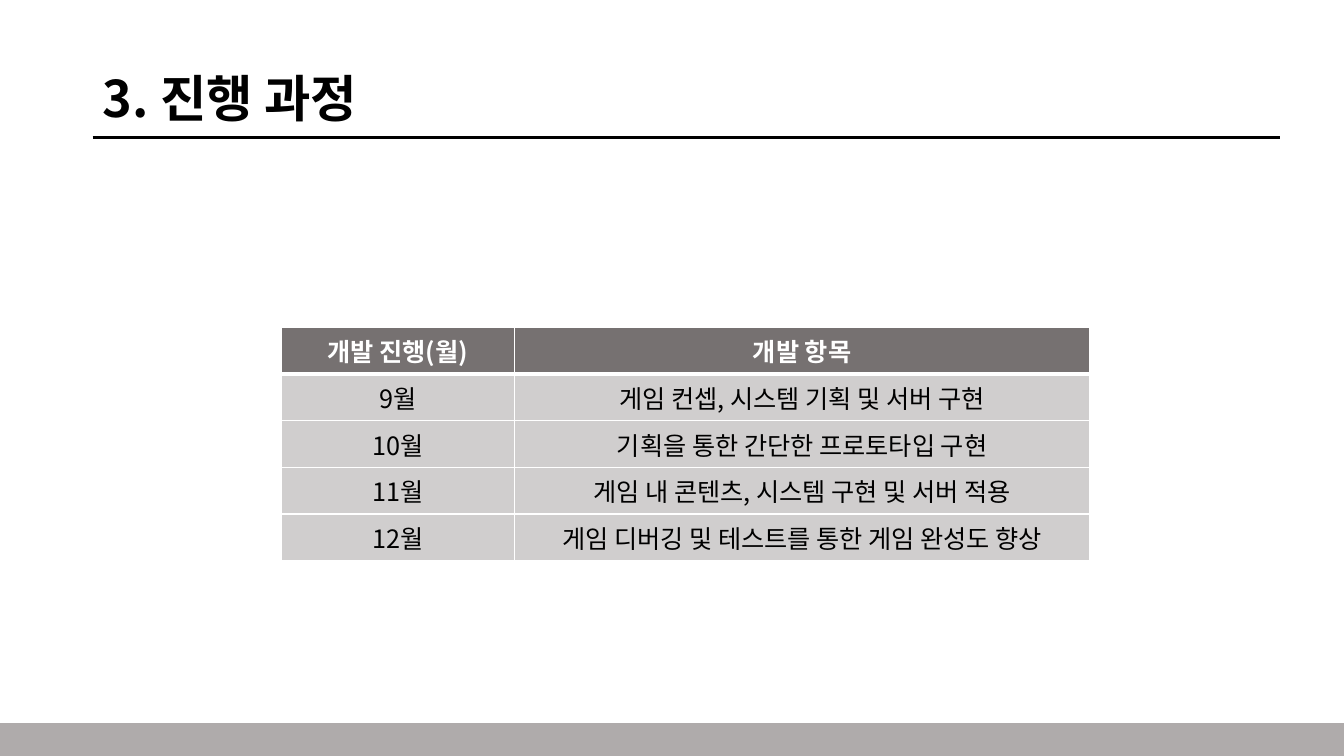
"""Builds the development schedule slide."""
from lxml.etree import SubElement
from pptx import Presentation
from pptx.dml.color import RGBColor
from pptx.enum.shapes import MSO_CONNECTOR as Connector, MSO_SHAPE as Shape
from pptx.enum.text import MSO_ANCHOR as Anchor, MSO_AUTO_SIZE as AutoSize, PP_ALIGN as Align
from pptx.oxml.ns import qn
from pptx.util import Inches, Pt

BLACK = RGBColor(0x00, 0x00, 0x00)
WHITE = RGBColor(0xFF, 0xFF, 0xFF)
HEADER_GRAY = RGBColor(0x76, 0x71, 0x71)
BODY_GRAY = RGBColor(0xD0, 0xCE, 0xCE)
FOOTER_GRAY = RGBColor(0xAF, 0xAB, 0xAB)
FONT = "Noto Sans CJK KR"

WIDTH, HEIGHT = Inches(13.33), Inches(7.5)
MARGIN = Inches(0.92)
RULE_Y = Inches(1.36)
COLUMN_WIDTHS = Inches(2.31), Inches(5.71)
ROW_HEIGHT = Inches(0.41)

SCHEDULE = [
    ("개발 진행(월)", "개발 항목"),
    ("9월", "게임 컨셉, 시스템 기획 및 서버 구현"),
    ("10월", "기획을 통한 간단한 프로토타입 구현"),
    ("11월", "게임 내 콘텐츠, 시스템 구현 및 서버 적용"),
    ("12월", "게임 디버깅 및 테스트를 통한 게임 완성도 향상"),
]


def write(frame, wording, size, color, bold, align):
    """Put one formatted paragraph into a text frame."""
    frame.text = wording
    paragraph = frame.paragraphs[0]
    paragraph.alignment = align
    for run in paragraph.runs:
        font = run.font
        font.name, font.size, font.bold = FONT, Pt(size), bold
        font.color.rgb = color
        SubElement(run._r.get_or_add_rPr(), qn("a:ea"), typeface=FONT)
    return paragraph


def add_heading(slide, wording):
    """Fill the title placeholder and underline it with a rule."""
    title = slide.shapes.title
    title.left, title.top = MARGIN, Inches(0.64)
    title.width, title.height = Inches(11.5), RULE_Y - title.top
    frame = title.text_frame
    frame.auto_size = AutoSize.NONE
    frame.vertical_anchor = Anchor.MIDDLE
    write(frame, wording, 36, BLACK, True, Align.LEFT).line_spacing = 0.9

    rule = slide.shapes.add_connector(
        Connector.STRAIGHT, MARGIN, RULE_Y, Inches(12.7), RULE_Y)
    rule.line.color.rgb = BLACK
    rule.line.width = Pt(2.25)
    SubElement(rule._element.spPr, qn("a:effectLst"))


def add_footer(slide):
    """Draw the gray band along the bottom edge."""
    band = slide.shapes.add_shape(
        Shape.RECTANGLE, 0, Inches(7.18), WIDTH, Inches(0.39))
    band.shadow.inherit = False
    band.fill.solid()
    band.fill.fore_color.rgb = FOOTER_GRAY
    band.line.color.rgb = FOOTER_GRAY
    band.line.width = Pt(1)


def set_borders(cell, **widths):
    """Draw white cell borders, with widths in points keyed by side."""
    properties = cell._tc.get_or_add_tcPr()
    for side, width in widths.items():
        border = SubElement(properties, qn(f"a:ln{side}"), w=str(Pt(width)))
        fill = SubElement(border, qn("a:solidFill"))
        SubElement(fill, qn("a:srgbClr"), val=str(WHITE))


def format_cell(cell, wording, is_header, below_header):
    """Style one schedule cell as a heading or as an entry."""
    set_borders(cell, L=1, R=1, T=3 if below_header else 1, B=3 if is_header else 1)
    cell.fill.solid()
    cell.fill.fore_color.rgb = HEADER_GRAY if is_header else BODY_GRAY
    cell.vertical_anchor = Anchor.MIDDLE
    write(cell.text_frame, wording, 18, WHITE if is_header else BLACK,
          is_header, Align.CENTER)


def add_schedule(slide, entries):
    """Add the table of months and development items."""
    schedule = slide.shapes.add_table(
        len(entries), len(COLUMN_WIDTHS), Inches(2.79), Inches(3.25),
        sum(COLUMN_WIDTHS), ROW_HEIGHT * len(entries)).table
    for column, width in zip(schedule.columns, COLUMN_WIDTHS):
        column.width = width
    for index, (row, entry) in enumerate(zip(schedule.rows, entries)):
        row.height = ROW_HEIGHT
        for cell, wording in zip(row.cells, entry):
            format_cell(cell, wording, index == 0, index == 1)


def main():
    """Build and save the slide."""
    deck = Presentation()
    deck.slide_width, deck.slide_height = WIDTH, HEIGHT
    slide = deck.slides.add_slide(deck.slide_layouts[5])
    add_heading(slide, "3. 진행 과정")
    add_footer(slide)
    add_schedule(slide, SCHEDULE)
    deck.save("out.pptx")


if __name__ == "__main__":
    main()
